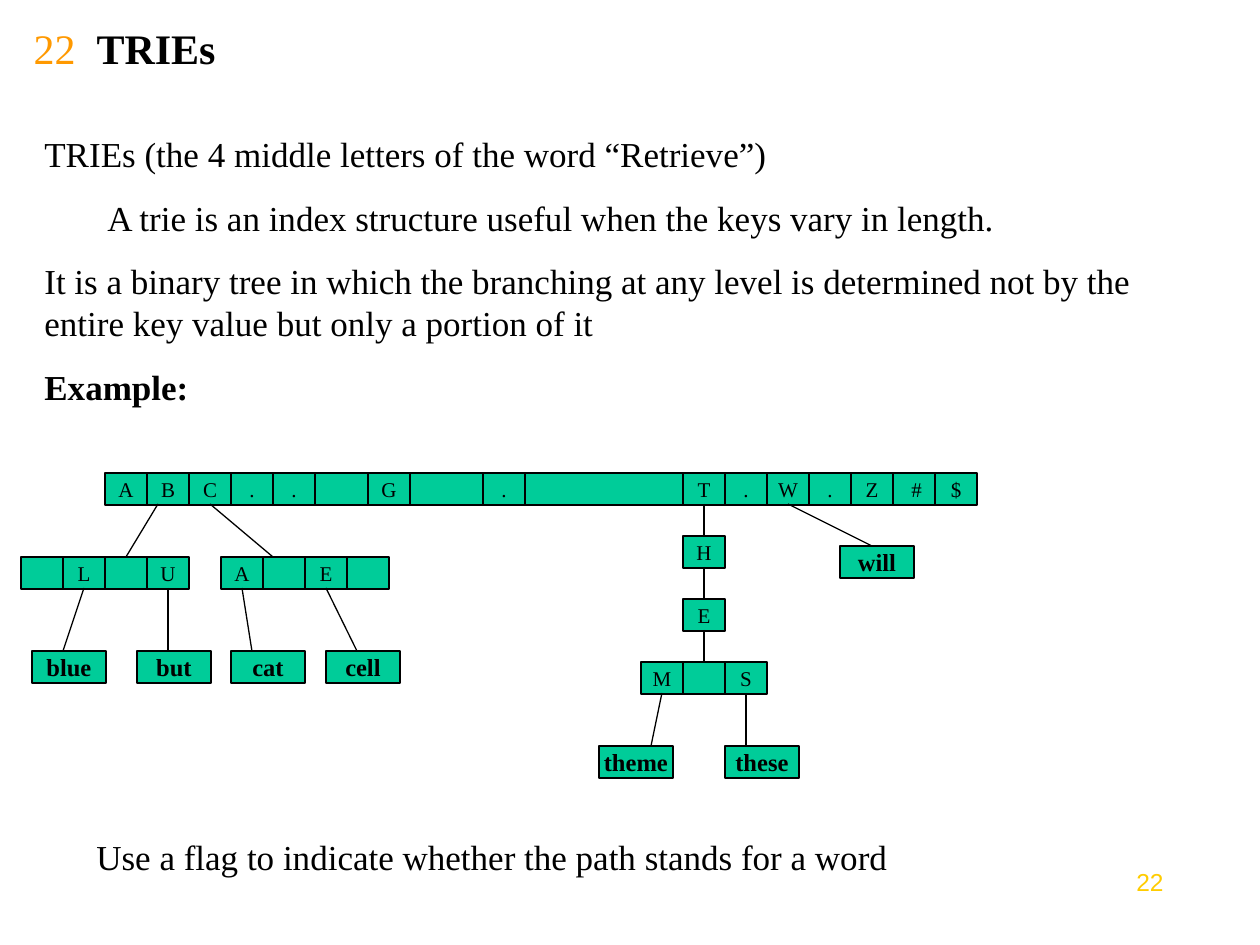
from lxml.etree import SubElement
from pptx import Presentation
from pptx.dml.color import RGBColor
from pptx.enum.shapes import MSO_CONNECTOR as Connector, MSO_SHAPE as Shape
from pptx.enum.text import MSO_ANCHOR as Anchor, PP_ALIGN as Align
from pptx.oxml.ns import qn
from pptx.util import Pt

SCALE = 914400 // 126
CELL_WIDTH, WORD_WIDTH, BOX_HEIGHT = 42, 74, 32
GREEN, BLACK, ORANGE, YELLOW = "00CC99", "000000", "FF9900", "FFCC00"
SERIF = "Times New Roman"

BODY = {"name": SERIF, "size": Pt(20), "color": BLACK}
BOLD_BODY = {**BODY, "bold": True}
LETTER = {"name": SERIF, "size": Pt(12), "color": BLACK}
WORD = {"name": SERIF, "size": Pt(14), "color": BLACK, "bold": True}
NUMBER = {"name": "Arial", "size": Pt(14), "color": YELLOW}
HEADING = {"name": SERIF, "size": Pt(24)}

TITLE_RUNS = [
    ("22  ", {**HEADING, "color": ORANGE, "bold": False}),
    ("TRIEs", {**HEADING, "color": BLACK, "bold": True}),
]
TEXTS = [
    ((1092, 861, 84, 66), Align.RIGHT, 0, [("22", NUMBER)]),
    ((32, 126, 1187, 289), Align.LEFT, 12.5, [
        ("TRIEs (the 4 middle letters of the word “Retrieve”)", BODY),
        ("\tA trie is an index structure useful when the keys vary in length.", BODY),
        ("It is a binary tree in which the branching at any level is determined "
         "not by the entire key value but only a portion of it", BODY),
        ("Example:", BOLD_BODY),
    ]),
    ((84, 829, 987, 55), Align.LEFT, 12.5,
     [("Use a flag to indicate whether the path stands for a word", BODY)]),
]

GAP_AFTER_C, GAP_BEFORE_T = 168, 158
NODES = [
    (105, 473, ["A", "B", "C", ".", ".", GAP_AFTER_C, ".", GAP_BEFORE_T,
                "T", ".", "W", ".", "Z", " #", "$"]),
    (368, 473, ["G"]),
    (21, 557, ["", "L", "", "U"]),
    (221, 557, ["A", "", "E", ""]),
    (683, 536, ["H"]),
    (683, 599, ["E"]),
    (641, 662, ["M", "", "S"]),
]
WORDS = [
    ("blue", 32, 651), ("but", 137, 651), ("cat", 231, 651), ("cell", 326, 651),
    ("will", 840, 546), ("theme", 599, 746), ("these", 725, 746),
]
BRANCHES = [
    (158, 504, 126, 557), (210, 504, 273, 557),
    (84, 588, 63, 651), (168, 588, 168, 651),
    (242, 588, 252, 651), (326, 588, 357, 651),
    (788, 504, 872, 546),
    (704, 504, 704, 536), (704, 567, 704, 599), (704, 630, 704, 662),
    (662, 693, 651, 746), (746, 693, 746, 746),
]


def px(*lengths):
    return [length * SCALE for length in lengths]


def paint(target, color):
    target.rgb = RGBColor.from_string(color)


def add_run(paragraph, text, style):
    run = paragraph.add_run()
    run.text = text
    for key, value in style.items():
        if key == "color":
            paint(run.font.color, value)
        else:
            setattr(run.font, key, value)


def draw_line(line):
    paint_fill(line.fill, BLACK)
    line.width = Pt(0.74)


def paint_fill(fill, color):
    fill.solid()
    paint(fill.fore_color, color)


def add_box(shapes, left, top, width, text, style):
    box = shapes.add_shape(Shape.RECTANGLE, *px(left, top, width, BOX_HEIGHT))
    box.shadow.inherit = False
    paint_fill(box.fill, GREEN)
    draw_line(box.line)
    if text:
        frame = box.text_frame
        frame.word_wrap = False
        frame.vertical_anchor = Anchor.MIDDLE
        paragraph = frame.paragraphs[0]
        paragraph.alignment = Align.CENTER
        add_run(paragraph, text, style)


def add_text(shapes, place, alignment, space_before, lines):
    frame = shapes.add_textbox(*px(*place)).text_frame
    frame.word_wrap = True
    for index, (text, style) in enumerate(lines):
        paragraph = frame.add_paragraph() if index else frame.paragraphs[0]
        paragraph.alignment = alignment
        paragraph.space_before = Pt(space_before)
        add_run(paragraph, text, style)


presentation = Presentation()
presentation.slide_width, presentation.slide_height = px(1260, 945)
slide = presentation.slides.add_slide(presentation.slide_layouts[5])
shapes = slide.shapes

title = shapes.title
title.left, title.top, title.width, title.height = px(21, 21, 1071, 53)
title.text_frame.vertical_anchor = Anchor.MIDDLE
title_paragraph = title.text_frame.paragraphs[0]
title_paragraph.alignment = Align.LEFT
for text, style in TITLE_RUNS:
    add_run(title_paragraph, text, style)

for text_block in TEXTS:
    add_text(shapes, *text_block)

for left, top, cells in NODES:
    for cell in cells:
        is_gap = isinstance(cell, int)
        width = cell if is_gap else CELL_WIDTH
        add_box(shapes, left, top, width, "" if is_gap else cell, LETTER)
        left += width

for word, left, top in WORDS:
    add_box(shapes, left, top, WORD_WIDTH, word, WORD)

for ends in BRANCHES:
    branch = shapes.add_connector(Connector.STRAIGHT, *px(*ends))
    draw_line(branch.line)
    SubElement(branch._element.spPr, qn("a:effectLst"))

presentation.save("out.pptx")
